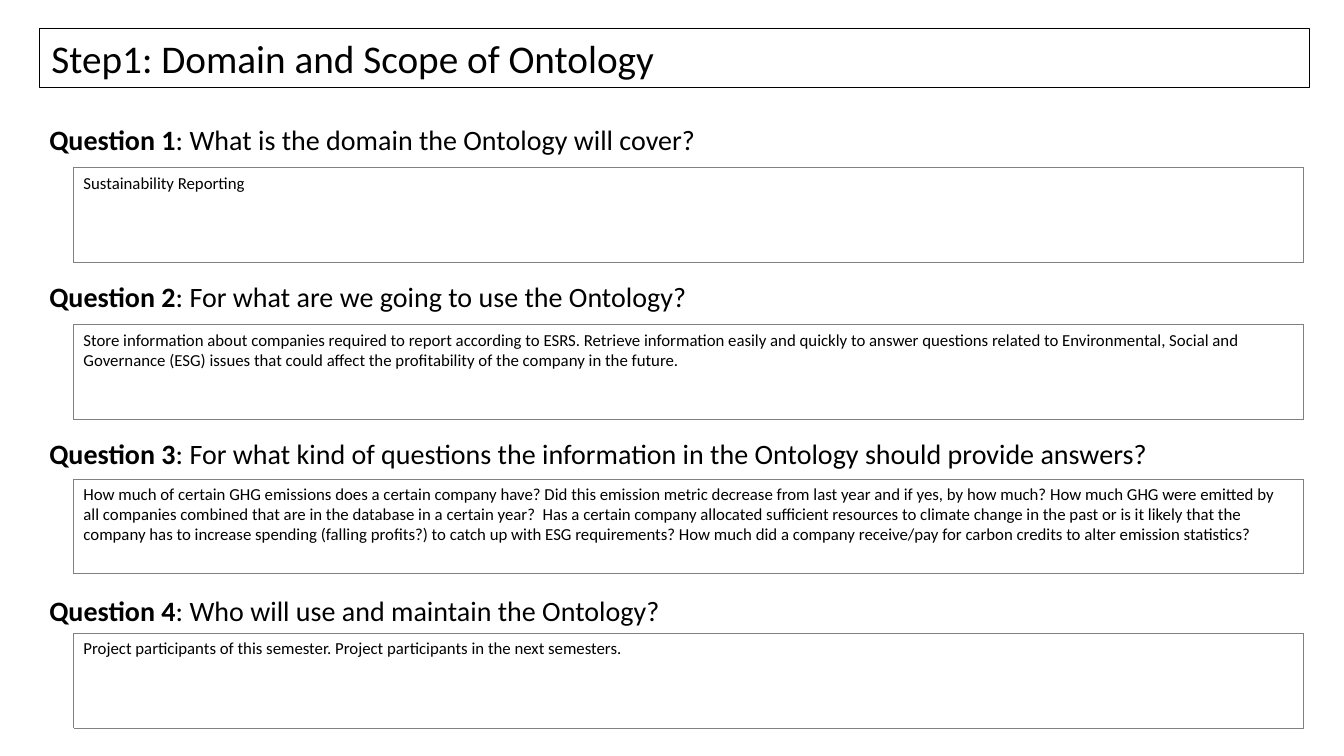
from pptx import Presentation
from pptx import util as u
from pptx.dml.color import RGBColor
from pptx.enum import dml, shapes, text

BLACK = RGBColor(0x00, 0x00, 0x00)
GRAY = RGBColor(0x80, 0x80, 0x80)
FONT = "Calibri"

TITLE = "Step1: Domain and Scope of Ontology"
# Question, answer, top of the answer box
QUESTIONS = [
    ("What is the domain the Ontology will cover?",
     "Sustainability Reporting", 1.66),
    ("For what are we going to use the Ontology?",
     "Store information about companies required to report according to ESRS. "
     "Retrieve information easily and quickly to answer questions related to "
     "Environmental, Social and Governance (ESG) issues that could affect the "
     "profitability of the company in the future.", 3.22),
    ("For what kind of questions the information in the Ontology should provide answers?",
     "How much of certain GHG emissions does a certain company have? Did this "
     "emission metric decrease from last year and if yes, by how much? How much "
     "GHG were emitted by all companies combined that are in the database in a "
     "certain year?  Has a certain company allocated sufficient resources to "
     "climate change in the past or is it likely that the company has to increase "
     "spending (falling profits?) to catch up with ESG requirements? How much did "
     "a company receive/pay for carbon credits to alter emission statistics?", 4.75),
    ("Who will use and maintain the Ontology?",
     "Project participants of this semester. Project participants in the next "
     "semesters.", 6.28),
]
FIRST_QUESTION, QUESTION_PITCH = 1.17, 1.555


def place(sp, x, y, w, h):
    sp.left, sp.top = u.Inches(x), u.Inches(y)
    sp.width, sp.height = u.Inches(w), u.Inches(h)


def style_run(r, size, bold=False):
    r.font.name, r.font.size, r.font.bold = FONT, u.Pt(size), bold
    r.font.color.rgb = BLACK


def add_title(s, x, y, w, h):
    sp = s.shapes.title
    place(sp, x, y, w, h)
    sp.line.color.rgb, sp.line.width = BLACK, u.Pt(0.5)
    tf = sp.text_frame
    tf.text = TITLE
    tf.auto_size = text.MSO_AUTO_SIZE.NONE
    tf.vertical_anchor = text.MSO_ANCHOR.MIDDLE
    tf.margin_left = tf.margin_right = tf.margin_top = tf.margin_bottom = u.Inches(0.12)
    p = tf.paragraphs[0]
    p.alignment = text.PP_ALIGN.LEFT
    style_run(p.runs[0], 28)


def add_question(s, number, question, x, y, w, h):
    sp = s.shapes.add_textbox(u.Inches(x), u.Inches(y), u.Inches(w), u.Inches(h))
    tf = sp.text_frame
    tf.word_wrap = True
    tf.auto_size = text.MSO_AUTO_SIZE.SHAPE_TO_FIT_TEXT
    p = tf.paragraphs[0]
    for words, bold in ((f"Question {number}", True), (f": {question}", False)):
        r = p.add_run()
        r.text = words
        style_run(r, 20, bold)


def add_answer(s, answer, x, y, w, h):
    sp = s.shapes.add_shape(shapes.MSO_SHAPE.RECTANGLE, u.Inches(x), u.Inches(y),
                            u.Inches(w), u.Inches(h))
    sp.shadow.inherit = False
    sp.fill.background()
    sp.line.color.rgb, sp.line.width = GRAY, u.Pt(0.25)
    sp.line.dash_style = dml.MSO_LINE.ROUND_DOT
    tf = sp.text_frame
    tf.text = answer
    tf.word_wrap = True
    tf.vertical_anchor = text.MSO_ANCHOR.TOP
    p = tf.paragraphs[0]
    p.alignment = text.PP_ALIGN.LEFT
    style_run(p.runs[0], 12)


def main():
    prs = Presentation()
    prs.slide_width, prs.slide_height = u.Inches(13.33), u.Inches(7.5)
    s = prs.slides.add_slide(prs.slide_layouts[5])

    # Title bar
    add_title(s, 0.39, 0.28, 12.6, 0.59)

    # Questions, each with its answer box
    for i, (question, answer, answer_top) in enumerate(QUESTIONS):
        add_question(s, i + 1, question, 0.39, FIRST_QUESTION + i * QUESTION_PITCH,
                     12.55, 0.44)
        add_answer(s, answer, 0.73, answer_top, 12.2, 0.94)

    prs.save("out.pptx")


if __name__ == "__main__":
    main()
